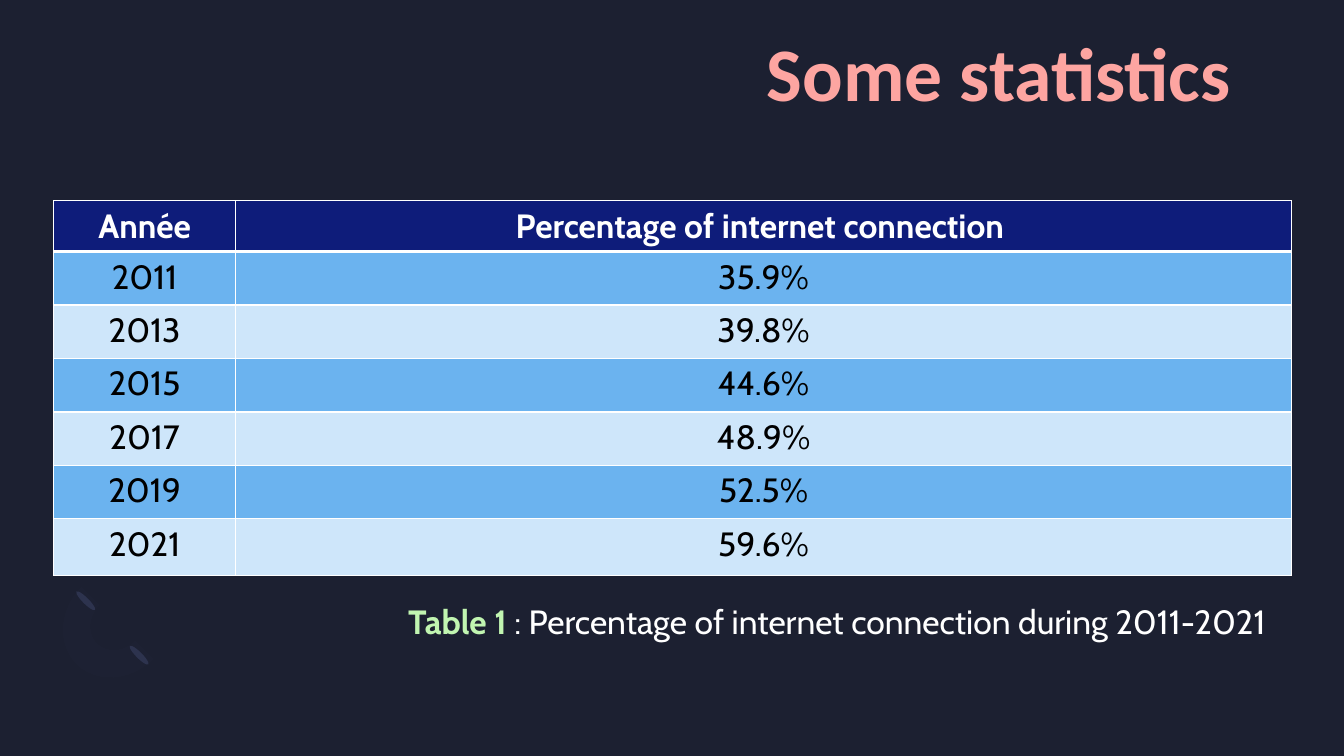
from math import cos, pi, sin, sqrt

from lxml import etree
from pptx import Presentation
from pptx.dml.color import RGBColor
from pptx.enum.shapes import MSO_SHAPE
from pptx.enum.text import MSO_ANCHOR, PP_ALIGN
from pptx.oxml.ns import qn
from pptx.util import Pt

OVAL = MSO_SHAPE.OVAL
MIDDLE = MSO_ANCHOR.MIDDLE
CENTER, RIGHT = PP_ALIGN.CENTER, PP_ALIGN.RIGHT
TITLE_ONLY = 5

WHITE, BLACK = "FFFFFF", "000000"
NAVY, BLUE, PALE = "0E1C7A", "6BB3EF", "CEE6FA"
ROWS = [
    ("Année", "Percentage of internet connection "),
    ("2011", "35.9%"),
    ("2013", "39.8%"),
    ("2015", "44.6%"),
    ("2017", "48.9%"),
    ("2019", "52.5%"),
    ("2021", "59.6%"),
]
WIDTHS = [130.2, 754]
HEIGHTS = [34.8] + [38.2] * 5 + [40.3]


def paint(fill, color):
    fill.solid()
    fill.fore_color.rgb = RGBColor.from_string(color)


def style(run, size, color, bold=False, face="Cabin"):
    font = run.font
    font.name, font.size, font.bold = face, Pt(size), bold
    font.color.rgb = RGBColor.from_string(color)


def place(shape, left, top, width, height):
    shape.left, shape.top = Pt(left), Pt(top)
    shape.width, shape.height = Pt(width), Pt(height)


def plain(shape, color):
    """Give the shape a flat fill without line or shadow."""
    paint(shape.fill, color)
    shape.line.fill.background()
    shape.shadow.inherit = False


def add_title(slide):
    title = slide.shapes.title
    place(title, 5.8, 13, 873.4, 76.3)
    frame = title.text_frame
    frame.margin_left = frame.margin_right = 0
    frame.margin_top = frame.margin_bottom = 0
    frame.vertical_anchor = MIDDLE
    frame.text = "Some statistics"
    para = frame.paragraphs[0]
    para.alignment = RIGHT
    style(para.runs[0], 54, "FDA5A1", True, "Calibri")


def add_dash(slide, x, y):
    """Add a slim tilted ellipse centred on x, y."""
    wide, high = 4.3, 18.7
    dash = slide.shapes.add_shape(
        OVAL, Pt(x - wide / 2), Pt(y - high / 2), Pt(wide), Pt(high))
    dash.rotation = 135
    plain(dash, "2C324D")


def add_arc(slide, x, y):
    """Add a faint half ring that opens to the upper right."""
    def curve(reach, depth):
        for step in range(25):
            angle = pi * step / 24
            a, b = reach * cos(angle), depth * sin(angle)
            yield Pt(x + (a - b) / sqrt(2)), Pt(y + (a + b) / sqrt(2))

    points = list(curve(36.4, 41.5)) + list(curve(18, 20.6))[::-1]
    build = slide.shapes.build_freeform(*points[0])
    build.add_line_segments(points[1:], close=True)
    arc = build.convert_to_shape()
    plain(arc, "7580B0")
    tint = arc.fill._xPr.find(qn("a:solidFill"))[0]
    etree.SubElement(tint, qn("a:alpha"), val="2000")


def add_border(cell, base):
    """Draw white cell borders, the bottom one base points wide."""
    props = cell._tc.get_or_add_tcPr()
    sides = {"lnL": 1, "lnR": 1, "lnT": 1, "lnB": base}
    for index, (side, width) in enumerate(sides.items()):
        line = etree.Element(qn("a:" + side), w=str(Pt(width)))
        solid = etree.SubElement(line, qn("a:solidFill"))
        etree.SubElement(solid, qn("a:srgbClr"), val=WHITE)
        props.insert(index, line)


def add_grid(slide):
    frame = slide.shapes.add_table(
        len(ROWS), len(WIDTHS), Pt(38.2), Pt(143.3),
        Pt(sum(WIDTHS)), Pt(sum(HEIGHTS)))
    table = frame.table
    for col, width in zip(table.columns, WIDTHS):
        col.width = Pt(width)
    for index, (texts, height) in enumerate(zip(ROWS, HEIGHTS)):
        row = table.rows[index]
        row.height = Pt(height)
        head = index == 0
        back = NAVY if head else BLUE if index % 2 else PALE
        for cell, text in zip(row.cells, texts):
            cell.text_frame.text = text
            para = cell.text_frame.paragraphs[0]
            para.alignment = CENTER
            style(para.runs[0], 24, WHITE if head else BLACK, head)
            paint(cell.fill, back)
            # The header's thick rule needs the same width on both sides.
            add_border(cell, 3 if head else 1)
            if index == 1:
                cell._tc.tcPr.find(qn("a:lnT")).set("w", str(Pt(3)))


def add_note(slide):
    box = slide.shapes.add_textbox(Pt(284.4), Pt(425.5), Pt(671.8), Pt(36))
    box.text_frame.word_wrap = True
    para = box.text_frame.paragraphs[0]
    parts = [
        ("Table 1 ", "C1F5B1", True),
        (": Percentage of internet connection during 2011-2021", WHITE, False),
    ]
    for text, color, bold in parts:
        run = para.add_run()
        run.text = text
        style(run, 24, color, bold)


def main():
    deck = Presentation()
    deck.slide_width, deck.slide_height = Pt(960), Pt(540)
    slide = deck.slides.add_slide(deck.slide_layouts[TITLE_ONLY])
    paint(slide.background.fill, "1C2031")
    add_dash(slide, 99.4, 468)
    add_dash(slide, 61.2, 429.1)
    add_arc(slide, 83.9, 445)
    add_title(slide)
    add_grid(slide)
    add_note(slide)
    deck.save("out.pptx")


if __name__ == "__main__":
    main()
